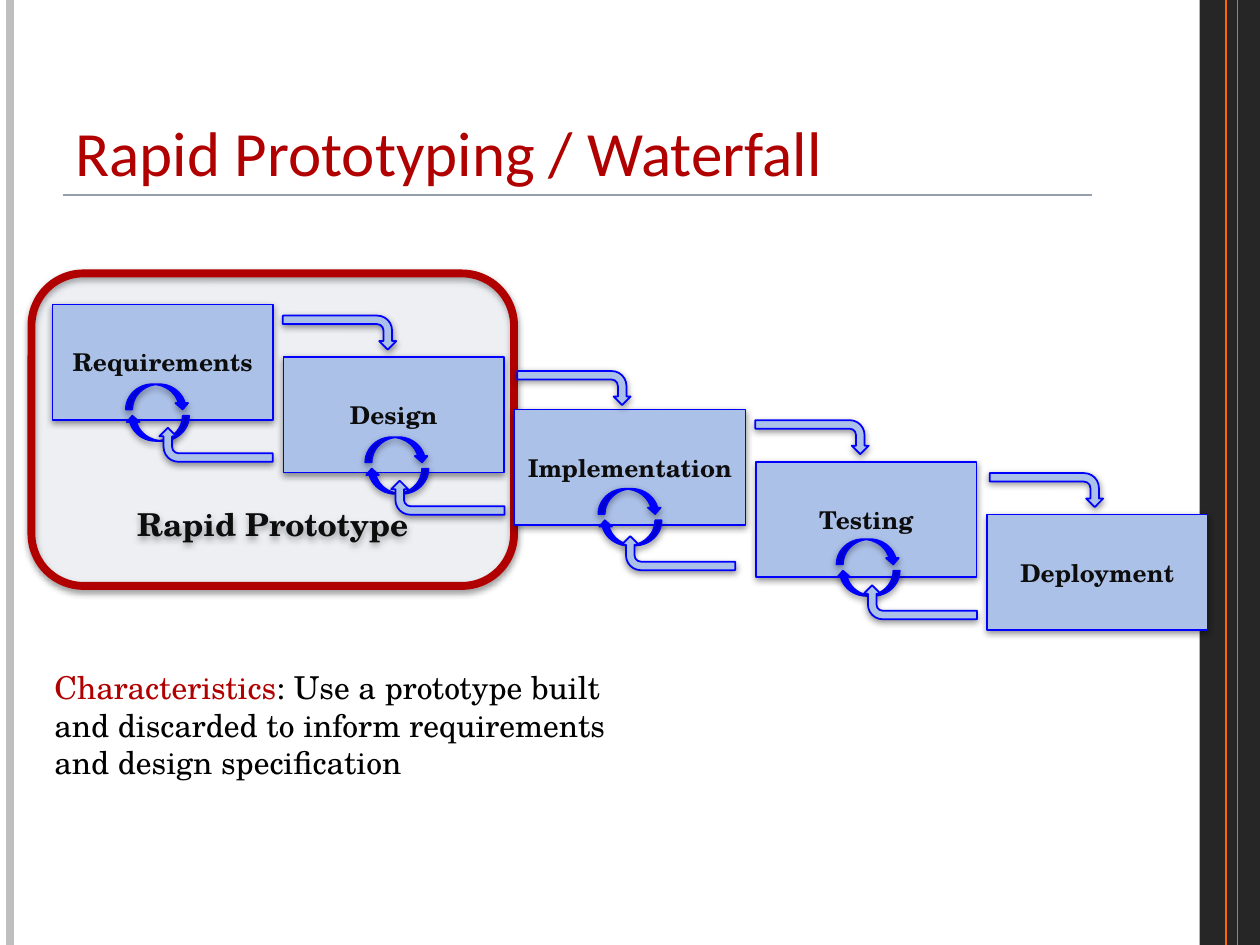
from lxml import etree
from pptx import Presentation
from pptx.dml.color import RGBColor
from pptx.enum.shapes import MSO_CONNECTOR, MSO_SHAPE
from pptx.enum.text import MSO_ANCHOR, MSO_AUTO_SIZE, PP_ALIGN
from pptx.oxml.ns import qn
from pptx.util import Inches, Pt

RECT, ROUND = MSO_SHAPE.RECTANGLE, MSO_SHAPE.ROUNDED_RECTANGLE
BENT, CURVED = MSO_SHAPE.BENT_ARROW, MSO_SHAPE.CURVED_UP_ARROW
STRAIGHT = MSO_CONNECTOR.STRAIGHT
MIDDLE, BOTTOM = MSO_ANCHOR.MIDDLE, MSO_ANCHOR.BOTTOM
CENTER, LEFT = PP_ALIGN.CENTER, PP_ALIGN.LEFT
FIXED = MSO_AUTO_SIZE.NONE

C = {name: RGBColor.from_string(value) for name, value in {
    "red": "B00000", "pale": "ACC1E8", "blue": "0000FF", "ink": "0D0D0D",
    "black": "000000", "dark": "262626", "grey": "BFBFBF",
    "orange": "FF6600", "rule": "969EAB"}.items()}
SERIF = "TeX Gyre Schola"
UNIT = Inches(1) // 12


def add_block(shapes, kind, x, y, w, h, fill="pale", line="blue", weight=1, rotation=0):
    sp = shapes.add_shape(kind, Inches(x), Inches(y), Inches(w), Inches(h))
    sp.rotation = rotation
    sp.fill.solid()
    sp.fill.fore_color.rgb = C[fill]
    sp.line.color.rgb = C[line]
    sp.line.width = Pt(weight)
    sp.shadow.inherit = False
    effects = sp._element.spPr.find(qn("a:effectLst"))
    shadow = etree.SubElement(effects, qn("a:outerShdw"), blurRad=str(Pt(4)),
                              dist=str(Pt(1.6)), dir="5400000", rotWithShape="0")
    color = etree.SubElement(shadow, qn("a:srgbClr"), val="000000")
    etree.SubElement(color, qn("a:alpha"), val="42000")
    return sp


def add_label(sp, text, size, anchor):
    tf = sp.text_frame
    tf.word_wrap = True
    tf.margin_left = tf.margin_right = 0
    tf.vertical_anchor = anchor
    p = tf.paragraphs[0]
    p.text = text
    p.alignment = CENTER
    p.font.name, p.font.size, p.font.bold = SERIF, Pt(size), True
    p.font.color.rgb = C["ink"]


prs = Presentation()
prs.slide_width, prs.slide_height = Inches(10), Inches(7.5)
W, H = prs.slide_width, prs.slide_height
s = prs.slides.add_slide(prs.slide_layouts[5])

band = s.shapes.add_shape(RECT, Inches(9.52), 0, W - Inches(9.52), H)
band.shadow.inherit = False
band.fill.solid()
band.fill.fore_color.rgb = C["dark"]
band.line.fill.background()

for x1, y1, x2, y2, color, weight in [
        (0.08, 0, 0.08, 7.5, "grey", 4.5), (9.73, 0, 9.73, 7.5, "orange", 0.75),
        (9.82, 0, 9.82, 7.5, "orange", 0.75), (0.5, 1.55, 8.67, 1.55, "rule", 1)]:
    rule = s.shapes.add_connector(STRAIGHT, Inches(x1), Inches(y1), Inches(x2), Inches(y2))
    rule.line.color.rgb = C[color]
    rule.line.width = Pt(weight)
    etree.SubElement(rule._element.spPr, qn("a:effectLst"))

title = s.shapes.title
title.left, title.top = Inches(0.5), Inches(0.3)
title.width, title.height = Inches(8.17), Inches(1.25)
tf = title.text_frame
tf.text = "Rapid Prototyping / Waterfall"
tf.auto_size = FIXED
tf.vertical_anchor = BOTTOM
p = tf.paragraphs[0]
p.alignment = LEFT
p.font.name, p.font.size = "Calibri", Pt(36)
p.font.color.rgb = C["red"]

prototype = add_block(s.shapes, ROUND, 0.25, 2.17, 3.83, 2.48, line="red", weight=4.5)
fill_color = prototype._element.spPr.find(qn("a:solidFill"))[0]
etree.SubElement(fill_color, qn("a:alpha"), val="10000")
add_label(prototype, "Rapid Prototype", 18, BOTTOM)
prototype.text_frame.margin_bottom = Inches(0.22)

column = 5
for row, (name, columns) in enumerate([
        ("Requirements", 21), ("Design", 21), ("Implementation", 22),
        ("Testing", 21), ("Deployment", 21)]):
    stage = add_block(s.shapes, RECT, column / 12, (29 + 5 * row) / 12, columns / 12, 11 / 12)
    add_label(stage, name, 14, MIDDLE)
    column += columns + 1

for x, y in [(2.56, 2.19), (4.42, 2.63), (6.31, 3.02), (8.17, 3.44)]:
    add_block(s.shapes, BENT, x, y, 0.27, 0.9, rotation=90)

for x, y in [(1, 3.05), (2.9, 3.47), (4.75, 3.88), (6.64, 4.28)]:
    loop = s.shapes.add_group_shape()
    for offset, rotation in [(0.25, 180), (0, 0)]:
        arc = add_block(loop.shapes, CURVED, x, y + offset, 0.5, 0.2, "blue", rotation=rotation)
        arc._element.spPr.find(qn("a:xfrm")).set("flipV", "1")

for x, y in [(1.58, 3.08), (3.42, 3.5), (5.25, 3.94), (7.17, 4.33)]:
    add_block(s.shapes, BENT, x, y, 0.27, 0.9, rotation=270)

note = s.shapes.add_textbox(4 * UNIT, 63 * UNIT, W // 2, Inches(1.01))
tf = note.text_frame
tf.word_wrap = True
p = tf.paragraphs[0]
for text, color in [
        ("Characteristics", "red"),
        (": Use a prototype built and discarded to inform requirements and design specification", "black")]:
    r = p.add_run()
    r.text = text
    r.font.color.rgb = C[color]
p.font.name, p.font.size = SERIF, Pt(18)

prs.save("out.pptx")
